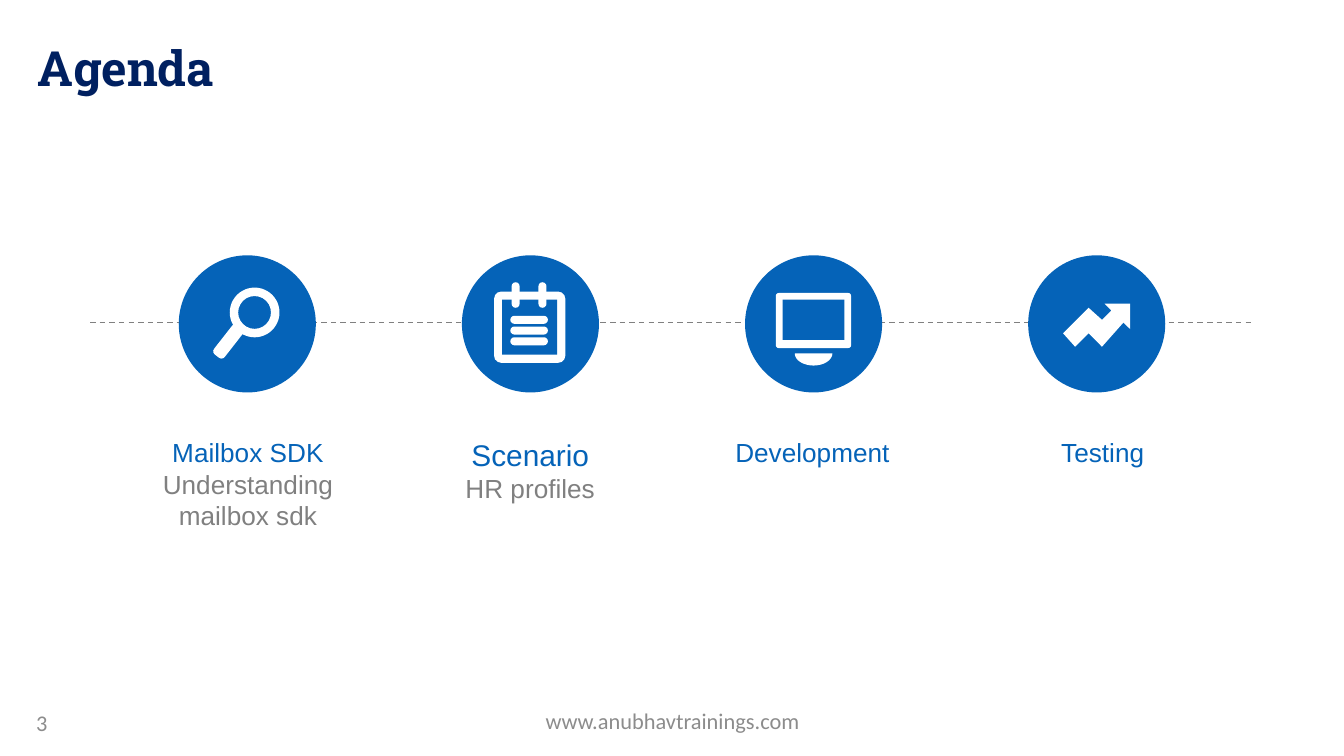
import math

from lxml import etree
from pptx import Presentation
from pptx import util as u
from pptx.dml.color import RGBColor
from pptx.enum import dml, shapes, text
from pptx.oxml import ns

BLUE = RGBColor(0x05, 0x63, 0xB8)
NAVY = RGBColor(0x00, 0x20, 0x60)
SKY = RGBColor(0x00, 0x70, 0xC0)
GREY = RGBColor(0x80, 0x80, 0x80)
FOOTER_GREY = RGBColor(0x8C, 0x8C, 0x8C)
WHITE = RGBColor(0xFF, 0xFF, 0xFF)
BADGE = 1.02
KIND = shapes.MSO_SHAPE


def paint(shape, color):
    """Give a shape a flat fill with no line or shadow."""
    shape.shadow.inherit = False
    shape.fill.solid()
    shape.fill.fore_color.rgb = color
    shape.line.fill.background()


def add_part(icon, kind, left, top, width, height, color=WHITE, rounding=None):
    """Add one painted preset shape to an icon."""
    part = icon.shapes.add_shape(kind, *map(u.Inches, (left, top, width, height)))
    paint(part, color)
    if rounding is not None:
        part.adjustments[0] = rounding
    return part


def add_outline(icon, points):
    """Add a white closed polygon to an icon."""
    corners = [(u.Inches(x), u.Inches(y)) for x, y in points]
    builder = icon.shapes.build_freeform(*corners[0])
    builder.add_line_segments(corners[1:], close=True)
    paint(builder.convert_to_shape(), WHITE)


def draw_magnifier(icon, left, top):
    """Draw a lens with a slanted handle."""
    add_part(icon, KIND.DONUT, left + 0.38, top + 0.24, 0.37, 0.37, rounding=0.17)
    handle = add_part(icon, KIND.ROUNDED_RECTANGLE, left + 0.32, top + 0.5,
                      0.1, 0.28, rounding=0.3)
    handle.rotation = 38


def draw_notepad(icon, left, top):
    """Draw a notepad with two rings and three text lines."""
    add_part(icon, KIND.ROUNDED_RECTANGLE, left + 0.24, top + 0.27, 0.53, 0.53, rounding=0.1)
    add_part(icon, KIND.RECTANGLE, left + 0.3, top + 0.33, 0.41, 0.41, BLUE)
    for ring in (0.37, 0.57):
        add_part(icon, KIND.ROUNDED_RECTANGLE, left + ring, top + 0.2, 0.06, 0.19, rounding=0.5)
    for row in range(3):
        add_part(icon, KIND.ROUNDED_RECTANGLE, left + 0.36, top + 0.45 + 0.08 * row,
                 0.28, 0.06, rounding=0.5)


def draw_monitor(icon, left, top):
    """Draw a screen above a half-round stand."""
    add_part(icon, KIND.ROUNDED_RECTANGLE, left + 0.23, top + 0.28, 0.56, 0.41, rounding=0.05)
    add_part(icon, KIND.RECTANGLE, left + 0.28, top + 0.33, 0.46, 0.3, BLUE)
    angles = [math.pi * step / 16 for step in range(17)]
    add_outline(icon, [(left + 0.51 + 0.14 * math.cos(angle),
                        top + 0.73 + 0.09 * math.sin(angle)) for angle in angles])


def draw_trend(icon, left, top):
    """Draw a zigzag arrow pointing up."""
    corners = [(0.57, 0.36), (0.76, 0.36), (0.76, 0.55), (0.71, 0.5), (0.55, 0.68), (0.45, 0.58),
               (0.35, 0.68), (0.26, 0.58), (0.45, 0.39), (0.55, 0.48), (0.62, 0.41)]
    add_outline(icon, [(left + x, top + y) for x, y in corners])


def add_text(page, box, lines, font, align, anchor=text.MSO_ANCHOR.TOP):
    """Add a wrapped text box of (words, size, color) lines."""
    frame = page.shapes.add_textbox(*map(u.Inches, box)).text_frame
    frame.word_wrap = True
    frame.vertical_anchor = anchor
    frame.text = "\n".join(words for words, _, _ in lines)
    for para, (_, size, color) in zip(frame.paragraphs, lines):
        para.alignment = align
        span = para.runs[0]
        span.font.name = font
        span.font.size = u.Pt(size)
        span.font.color.rgb = color
    return frame


def add_title(page, box):
    """Place and format the slide title."""
    title = page.shapes.title
    title.left, title.top, title.width, title.height = map(u.Inches, box)
    frame = title.text_frame
    frame.text = "Agenda"
    frame.vertical_anchor = text.MSO_ANCHOR.TOP
    para = frame.paragraphs[0]
    para.alignment = text.PP_ALIGN.LEFT
    font = para.runs[0].font
    font.name, font.size, font.bold = "Roboto Slab", u.Pt(26), True
    font.fill.gradient()
    font.fill.gradient_angle = 270
    for stop, color in zip(font.fill.gradient_stops, (NAVY, SKY)):
        stop.color.rgb = color


def add_timeline(page, left, top, width):
    """Draw the dashed line behind the badges."""
    line = page.shapes.add_connector(shapes.MSO_CONNECTOR.STRAIGHT, u.Inches(left),
                                     u.Inches(top), u.Inches(left + width), u.Inches(top))
    line.line.color.rgb = GREY
    line.line.width = u.Pt(0.75)
    line.line.dash_style = dml.MSO_LINE.DASH
    etree.SubElement(line._element.spPr, ns.qn("a:effectLst"))


def add_step(page, left, top, draw, label_left, label_height, lines):
    """Draw one badge with its icon and the label below it."""
    icon = page.shapes.add_group_shape()
    add_part(icon, KIND.OVAL, left, top, BADGE, BADGE, BLUE)
    draw(icon, left, top)
    frame = add_text(page, (label_left, top + 1.3, 1.75, label_height), lines,
                     "Arial", text.PP_ALIGN.CENTER)
    frame.auto_size = text.MSO_AUTO_SIZE.SHAPE_TO_FIT_TEXT


def add_footer(page, top):
    """Add the page number and the web address."""
    middle = text.MSO_ANCHOR.MIDDLE
    add_text(page, (3.42, top, 3.17, 0.3), [("www.anubhavtrainings.com", 12, FOOTER_GREY)],
             "Calibri", text.PP_ALIGN.CENTER, middle)
    add_text(page, (0.17, top + 0.02, 2.33, 0.3), [("3", 12, FOOTER_GREY)],
             "Calibri", text.PP_ALIGN.LEFT, middle)


def main():
    """Build the agenda slide."""
    deck = Presentation()
    deck.slide_width = u.Inches(10)
    deck.slide_height = deck.slide_width * 9 // 16
    page = deck.slides.add_slide(deck.slide_layouts[5])
    add_title(page, (0.18, 0.23, 9, 0.58))
    add_timeline(page, 0.67, 2.4, 8.66)
    steps = [
        (draw_magnifier, 0.97, 0.81,
         [("Mailbox SDK", 14, BLUE), ("Understanding mailbox sdk", 14, GREY)]),
        (draw_notepad, 3.07, 0.61, [("Scenario", 16, BLUE), ("HR profiles", 14, GREY)]),
        (draw_monitor, 5.17, 0.34, [("Development", 14, BLUE)]),
        (draw_trend, 7.33, 0.34, [("Testing", 14, BLUE)]),
    ]
    first, last = 1.33, 7.65
    pitch = (last - first) / (len(steps) - 1)
    for index, step in enumerate(steps):
        add_step(page, first + pitch * index, 1.9, *step)
    add_footer(page, 5.21)
    deck.save("out.pptx")


if __name__ == "__main__":
    main()
